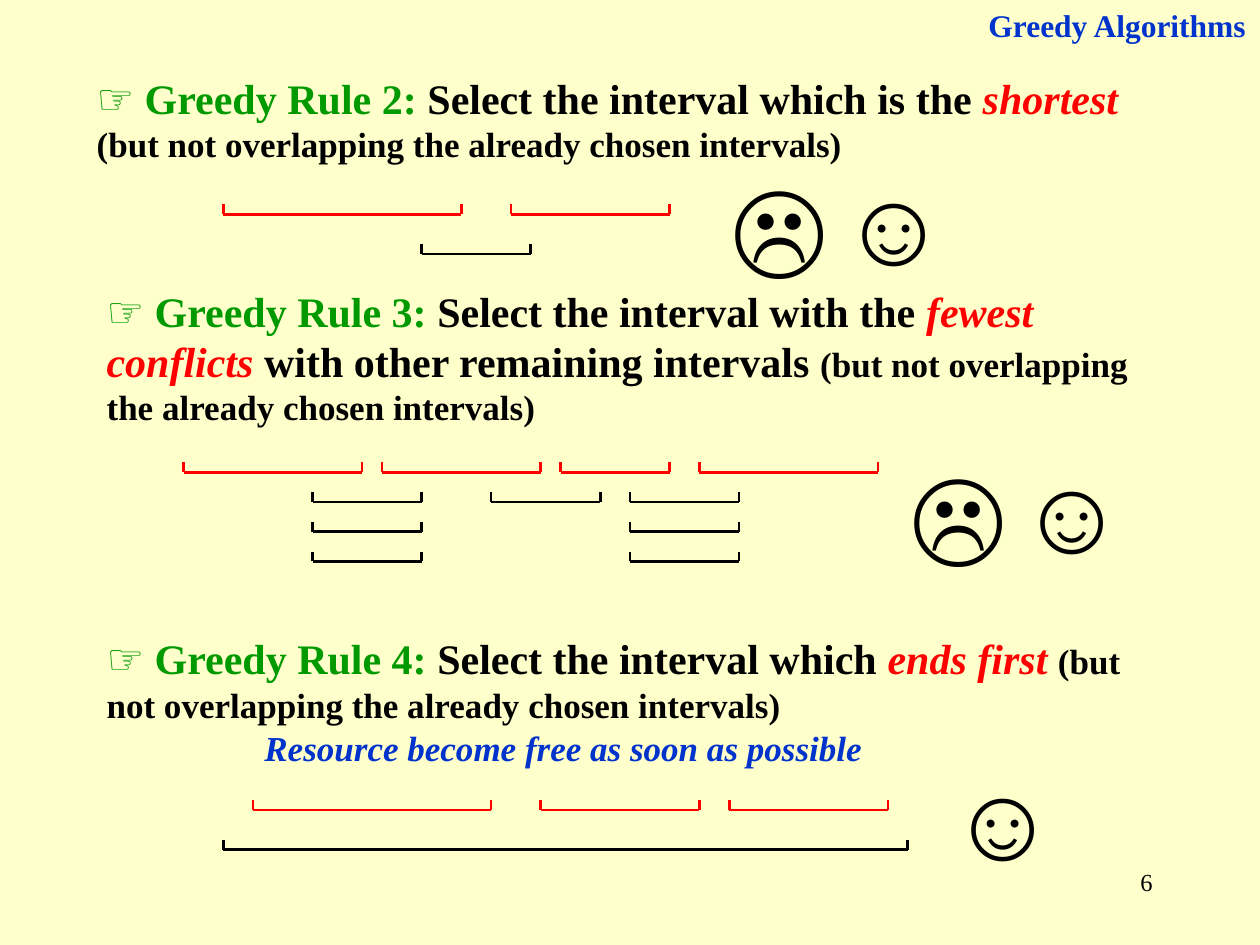
from dataclasses import dataclass, field
from typing import Any

import pptx
import pptx.dml.color
import pptx.enum.shapes
import pptx.enum.text
import pptx.oxml
import pptx.util

Cm, Pt = pptx.util.Cm, pptx.util.Pt
ALIGN = pptx.enum.text.PP_ALIGN
ANCHOR = pptx.enum.text.MSO_ANCHOR

COLORS = {
    "background": "FFFFCC",
    "heading": "0033CC",
    "rule": "009900",
    "highlight": "FF0000",
    "text": "000000",
}
SERIF, SANS = "Times New Roman", "Arial"
TICK_HEIGHT = 0.2
FACE_SIZE = 2.79
CONDITION = "(but not overlapping the already chosen intervals)"


@dataclass
class Span:
    text: str
    color: str = "text"
    size: float = 24
    font: str = SERIF
    bold: bool = True
    italic: bool = False


@dataclass
class Box:
    left: float
    top: float
    width: float
    height: float


@dataclass
class Interval:
    start: float
    end: float
    y: float
    color: str = "text"


@dataclass
class Face:
    symbol: str
    left: float
    top: float


@dataclass
class Rule:
    number: int
    box: Box
    statement: str
    criterion: str
    remainder: str
    intervals: list[Interval]
    faces: list[Face] = field(default_factory=list)


def intervals_at(y: float, color: str, *bounds: tuple[float, float]) -> list[Interval]:
    return [Interval(start, end, y, color) for start, end in bounds]


RULES = [
    Rule(2, Box(1.7, 1.32, 21.41, 2.13),
         " Select the interval which is the ", "shortest ", "",
         intervals_at(4.32, "highlight", (4.5, 9.3), (10.3, 13.5))
         + intervals_at(5.12, "text", (8.5, 10.7)),
         [Face("☹", 14.5, 3.12), Face("☺", 16.69, 3.12)]),
    Rule(3, Box(1.9, 5.61, 21.41, 3.15),
         " Select the interval with the ", "fewest conflicts",
         " with other remaining intervals ",
         intervals_at(9.52, "highlight",
                      (3.7, 7.3), (7.7, 10.9), (11.3, 13.5), (14.1, 17.7))
         + intervals_at(10.12, "text", (9.9, 12.1))
         + [interval for row in range(3)
            for interval in intervals_at(10.12 + 0.6 * row, "text",
                                         (6.3, 8.5), (12.7, 14.9))],
         [Face("☹", 18.11, 8.92), Face("☺", 20.29, 8.92)]),
    Rule(4, Box(1.9, 12.62, 21.41, 2.13),
         " Select the interval which ", "ends first ", "",
         intervals_at(16.33, "highlight", (5.1, 9.9), (10.9, 14.1), (14.7, 17.9))
         + intervals_at(17.13, "text", (4.5, 18.3)),
         [Face("☺", 18.9, 15.11)]),
]


def rgb(color: str) -> pptx.dml.color.RGBColor:
    return pptx.dml.color.RGBColor.from_string(COLORS[color])


def write(shape: Any, spans: list[Span], align: Any = ALIGN.LEFT,
          anchor: Any = ANCHOR.TOP, wrap: bool = True, space_before: float = 0) -> None:
    frame_format = {
        "word_wrap": wrap,
        "auto_size": pptx.enum.text.MSO_AUTO_SIZE.NONE,
        "vertical_anchor": anchor,
    }
    for name, value in frame_format.items():
        setattr(shape.text_frame, name, value)
    paragraph = shape.text_frame.paragraphs[0]
    paragraph.alignment = align
    paragraph.space_before = Pt(space_before)
    for span in spans:
        run = paragraph.add_run()
        run.text = span.text
        font_format = {"name": span.font, "size": Pt(span.size),
                       "bold": span.bold, "italic": span.italic}
        for name, value in font_format.items():
            setattr(run.font, name, value)
        run.font.color.rgb = rgb(span.color)


def add_text(slide: Any, box: Box, spans: list[Span], **layout: Any) -> None:
    area = slide.shapes.add_textbox(Cm(box.left), Cm(box.top), Cm(box.width), Cm(box.height))
    write(area, spans, **layout)


def add_line(shapes: Any, start: tuple[float, float], end: tuple[float, float],
             color: str) -> None:
    line = shapes.add_connector(pptx.enum.shapes.MSO_CONNECTOR.STRAIGHT,
                                *map(Cm, start + end))
    line.line.color.rgb = rgb(color)
    line.line.width = Pt(1.5)
    line._element.spPr.append(pptx.oxml.parse_xml(
        '<a:effectLst xmlns:a="http://schemas.openxmlformats.org/drawingml/2006/main"/>'))


def add_interval(shapes: Any, interval: Interval) -> None:
    """Draw a base line with an upward tick at each end."""
    y = interval.y
    add_line(shapes, (interval.start, y), (interval.end, y), interval.color)
    for x in (interval.start, interval.end):
        add_line(shapes, (x, y), (x, y - TICK_HEIGHT), interval.color)


def add_rule(slide: Any, rule: Rule) -> None:
    spans = [
        Span("☞", "rule", font=SANS),
        Span(f" Greedy Rule {rule.number}:", "rule"),
        Span(rule.statement),
        Span(rule.criterion, "highlight", italic=True),
    ]
    if rule.remainder:
        spans.append(Span(rule.remainder))
    spans.append(Span(CONDITION, size=20))
    add_text(slide, rule.box, spans, anchor=ANCHOR.MIDDLE)

    diagram = slide.shapes.add_group_shape()
    for interval in rule.intervals:
        add_interval(diagram.shapes, interval)
    for face in rule.faces:
        add_text(slide, Box(face.left, face.top, FACE_SIZE, FACE_SIZE),
                 [Span(face.symbol, size=60, font=SANS, bold=False)], space_before=37.5)


def main() -> None:
    presentation = pptx.Presentation()
    presentation.slide_width, presentation.slide_height = Cm(25.4), Cm(19.05)
    slide = presentation.slides.add_slide(presentation.slide_layouts[5])
    slide.background.fill.solid()
    slide.background.fill.fore_color.rgb = rgb("background")

    title = slide.shapes.title
    title_place = {"left": 19.1, "top": 0, "width": 6.27, "height": 1.02}
    for name, value in title_place.items():
        setattr(title, name, Cm(value))
    write(title, [Span("Greedy Algorithms", "heading", 18)],
          align=ALIGN.RIGHT, space_before=11.2)

    for rule in RULES:
        add_rule(slide, rule)
    add_text(slide, Box(5.08, 14.53, 12.55, 1.12),
             [Span("Resource become free as soon as possible", "heading", 20, italic=True)],
             wrap=False)
    add_text(slide, Box(18.21, 17.35, 5.28, 1.27), [Span("6", size=14, bold=False)],
             align=ALIGN.RIGHT)
    presentation.save("out.pptx")


if __name__ == "__main__":
    main()
